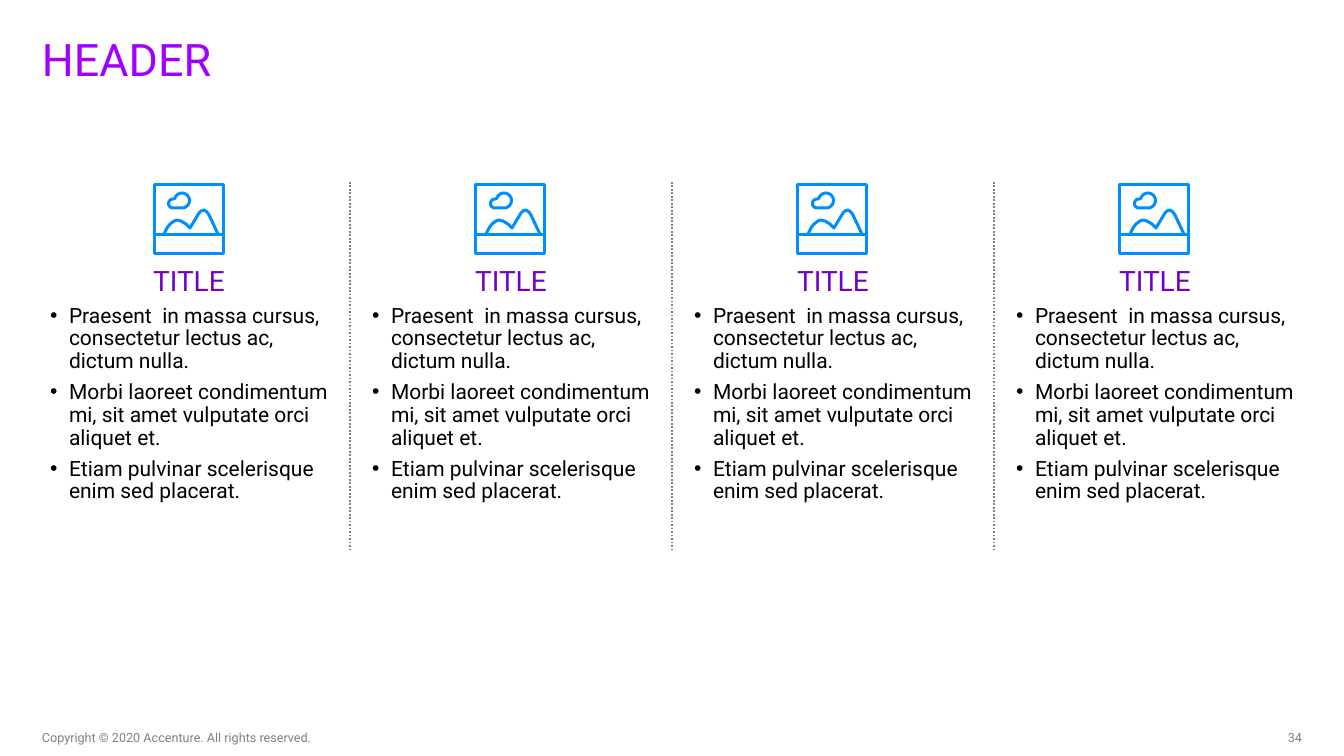
import math

from lxml import etree
from pptx import Presentation
from pptx import util as u
from pptx.dml.color import RGBColor
from pptx.enum import dml, shapes, text
from pptx.oxml import ns

PURPLE = RGBColor(0xA1, 0x00, 0xFF)
DARK_PURPLE = RGBColor(0x75, 0x00, 0xC0)
BLUE = RGBColor(0x00, 0x8E, 0xFF)
GRAY = RGBColor(0x80, 0x80, 0x80)
BLACK = RGBColor(0x00, 0x00, 0x00)
FONT = "Roboto"
LEFT, RIGHT = 42, 1302
COLUMN_STEP, COLUMN_WIDTH = 322, 294
ITEMS = [
    "Praesent  in massa cursus, consectetur lectus ac, dictum nulla.",
    "Morbi laoreet condimentum mi, sit amet vulputate orci aliquet et.",
    "Etiam pulvinar scelerisque enim sed placerat.",
]


def px(length):
    return u.Emu(round(length * 914400 / 100.8))


def write(shape, box, lines, size, color, spacing=1.0, align=text.PP_ALIGN.LEFT,
          anchor=text.MSO_ANCHOR.TOP, inset=0, bullet=False):
    """Place a text shape at box (left, top, width, height) and fill it with formatted lines."""
    shape.left, shape.top, shape.width, shape.height = map(px, box)
    frame = shape.text_frame
    frame.word_wrap = True
    frame.auto_size = text.MSO_AUTO_SIZE.NONE
    frame.vertical_anchor = anchor
    frame.margin_left = frame.margin_right = px(inset)
    frame.margin_top = frame.margin_bottom = 0
    frame.text = "\n".join(lines)
    for index, paragraph in enumerate(frame.paragraphs):
        if bullet:
            properties = paragraph._p.get_or_add_pPr()
            properties.set("marL", str(px(19)))
            properties.set("indent", str(px(-19)))
            etree.SubElement(properties, ns.qn("a:buFont"), typeface="Arial")
            etree.SubElement(properties, ns.qn("a:buChar"), char="•")
        paragraph.alignment = align
        paragraph.line_spacing = spacing
        paragraph.space_before = u.Pt(6 if index else 0)
        paragraph.font.name = FONT
        paragraph.font.size = u.Pt(size)
        paragraph.font.bold = False
        paragraph.font.color.rgb = color


presentation = Presentation()
presentation.slide_width, presentation.slide_height = px(1344), px(756)
# The comparison layout offers a title and four bodies, one for each column
slide = presentation.slides.add_slide(presentation.slide_layouts[4])
header, *bodies = slide.placeholders

write(header, (LEFT, 42, RIGHT - LEFT, 99), ["HEADER"], 32, PURPLE, spacing=0.8)

# Icon outlines, measured from the left edge of a column
cloud = []
for center_x, center_y, radius, first, last in [(140, 200.5, 7.5, 90, -165),
                                               (131, 203.5, 4.5, -90, -270)]:
    for degrees in range(first, last - 1, -15):
        angle = math.radians(degrees)
        cloud.append((center_x + radius * math.cos(angle), center_y + radius * math.sin(angle)))
icon_outlines = [
    ([(112, 184), (181, 184), (181, 253), (112, 253)], True),
    ([(112, 234), (181, 234)], False),
    ([(122, 234), (125, 228), (128, 224), (132, 221), (135, 220), (139, 221), (144, 224),
      (148, 228), (157, 213), (159, 211), (162, 210), (165, 212), (167, 215), (176, 234)], False),
    (cloud, True),
]

for column, body in enumerate(bodies):
    left = LEFT + column * COLUMN_STEP

    builder = None
    for outline, closed in icon_outlines:
        start, *rest = [(px(left + x), px(y)) for x, y in outline]
        if builder is None:
            builder = slide.shapes.build_freeform(*start)
        else:
            builder.move_to(*start)
        builder.add_line_segments(rest, close=closed)
    icon = builder.convert_to_shape()
    icon.shadow.inherit = False
    icon.fill.background()
    icon.line.color.rgb = BLUE
    icon.line.width = px(3)

    write(slide.shapes.add_textbox(0, 0, 0, 0), (left, 270, COLUMN_WIDTH, 28), ["TITLE"],
          20, DARK_PURPLE, spacing=0.8, align=text.PP_ALIGN.CENTER)
    write(body, (left, 305, COLUMN_WIDTH, 246), ITEMS, 15, BLACK, spacing=0.9,
          inset=8, bullet=True)

    if column:
        x = px(left - 14)
        divider = slide.shapes.add_connector(shapes.MSO_CONNECTOR.STRAIGHT, x, px(182), x, px(552))
        divider.line.color.rgb = GRAY
        divider.line.width = u.Pt(1.25)
        divider.line.dash_style = dml.MSO_LINE.ROUND_DOT
        etree.SubElement(divider._element.spPr, ns.qn("a:effectLst"))

for box, line, align in [
    ((LEFT, 730, 300, 15), "Copyright © 2020 Accenture. All rights reserved.", text.PP_ALIGN.LEFT),
    ((RIGHT - 68, 730, 68, 15), "34", text.PP_ALIGN.RIGHT),
]:
    write(slide.shapes.add_textbox(0, 0, 0, 0), box, [line], 9, GRAY, align=align,
          anchor=text.MSO_ANCHOR.BOTTOM)

presentation.save("out.pptx")
